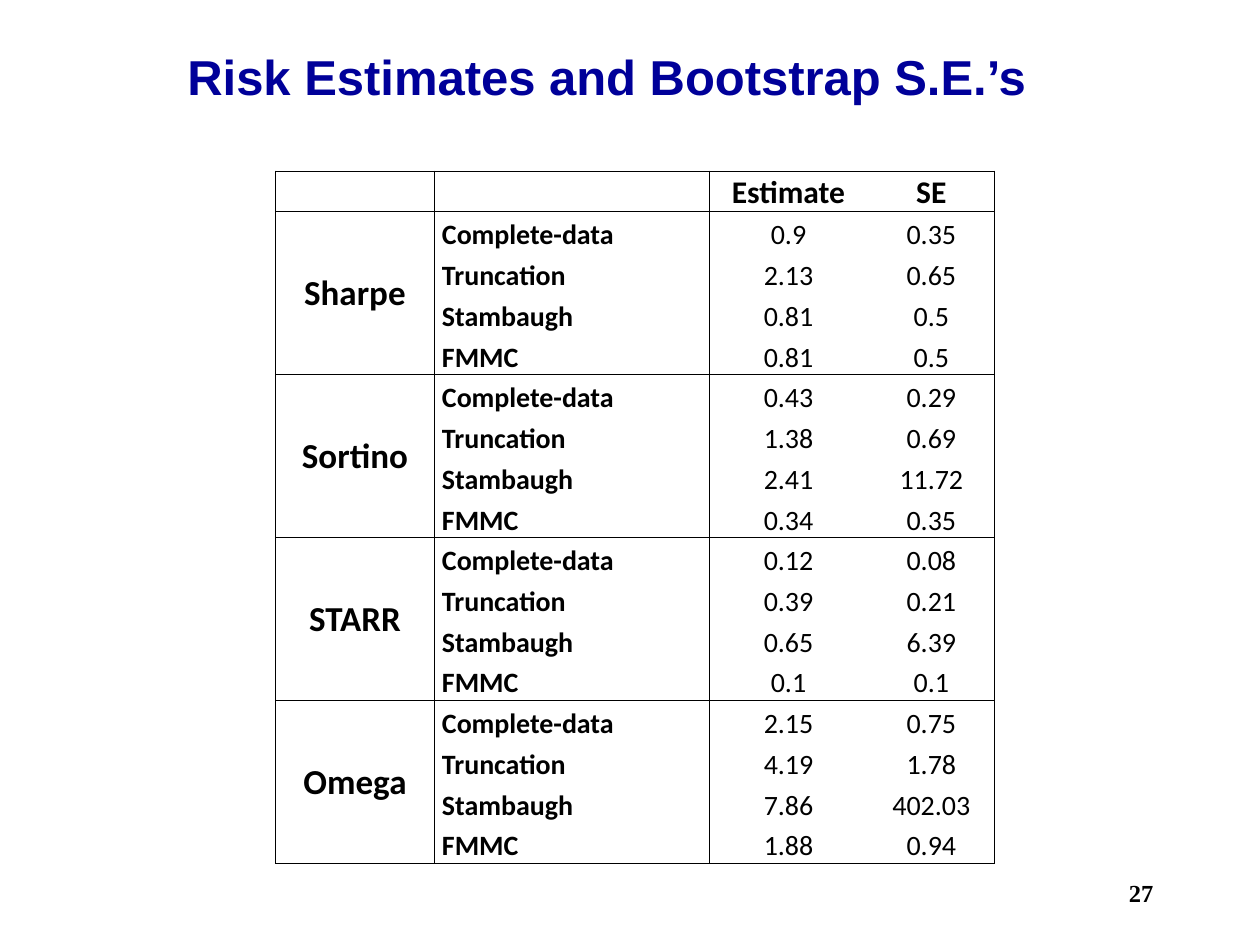
from lxml.etree import SubElement
from pptx import Presentation
from pptx.dml.color import RGBColor
from pptx.enum.text import MSO_ANCHOR, PP_ALIGN
from pptx.oxml.ns import qn
from pptx.util import Pt

COLORS = {"title": "000099", "text": "000000", "line": "000000"}
MEASURES = {
    "Sharpe": [("0.9", "0.35"), ("2.13", "0.65"), ("0.81", "0.5"), ("0.81", "0.5")],
    "Sortino": [("0.43", "0.29"), ("1.38", "0.69"), ("2.41", "11.72"), ("0.34", "0.35")],
    "STARR": [("0.12", "0.08"), ("0.39", "0.21"), ("0.65", "6.39"), ("0.1", "0.1")],
    "Omega": [("2.15", "0.75"), ("4.19", "1.78"), ("7.86", "402.03"), ("1.88", "0.94")],
}
METHODS = ["Complete-data", "Truncation", "Stambaugh", "FMMC"]
GROUP = len(METHODS)


def add_run(tf, text, size, font, color="text", bold=True, align=PP_ALIGN.CENTER):
    p = tf.paragraphs[0]
    p.alignment = align
    r = p.add_run()
    r.text = text
    r.font.size = Pt(size)
    r.font.name = font
    r.font.bold = bold
    r.font.color.rgb = RGBColor.from_string(COLORS[color])


def set_borders(cell, widths):
    """Draw the sides L, R, T, B at the given point widths; 0 means no line."""
    tcPr = cell._tc.get_or_add_tcPr()
    for side, width in zip("LRTB", widths):
        ln = SubElement(tcPr, qn(f"a:ln{side}"), w=str(Pt(width)))
        if width:
            fill = SubElement(ln, qn("a:solidFill"))
            SubElement(fill, qn("a:srgbClr"), val=COLORS["line"])
        else:
            SubElement(ln, qn("a:noFill"))


prs = Presentation()
prs.slide_width, prs.slide_height = Pt(720), Pt(540)
s = prs.slides.add_slide(prs.slide_layouts[6])

# Page number
sp = s.shapes.add_textbox(Pt(516.25), Pt(492), Pt(150), Pt(36))
tf = sp.text_frame
tf.word_wrap = False
tf.vertical_anchor = MSO_ANCHOR.MIDDLE
add_run(tf, "27", 14, "Times New Roman", align=PP_ALIGN.RIGHT)

# Table contents: a header, then one group of rows per measure
rows = [["", "", "Estimate", "SE"]]
for measure, values in MEASURES.items():
    for i, (method, pair) in enumerate(zip(METHODS, values)):
        rows.append([measure if i == 0 else "", f" {method}", *pair])

widths = [90.75, 157, 90.75, 72.5]
height = 396
table = s.shapes.add_table(len(rows), len(widths), Pt(157.5), Pt(97.75),
                           Pt(sum(widths)), Pt(height)).table
table.first_row = table.horz_banding = False
for column, width in zip(table.columns, widths):
    column.width = Pt(width)
for row in table.rows:
    row.height = Pt(height / len(rows))

omega_start = len(rows) - GROUP
for i, row in enumerate(rows):
    starts, ends = i == 0 or i % GROUP == 1, i % GROUP == 0
    for j, text in enumerate(row):
        cell = table.cell(i, j)
        cell.margin_left = cell.margin_right = cell.margin_top = Pt(0.75)
        cell.margin_bottom = Pt(0)
        cell.vertical_anchor = MSO_ANCHOR.MIDDLE if j == 0 else MSO_ANCHOR.BOTTOM
        top = 1 if j >= 2 and i == omega_start else 0.5
        bottom = 1 if j >= 2 and i == omega_start - 1 else 0.5
        set_borders(cell, [0.5 * (j < 3), 0.5 * (j != 2), top * starts,
                           bottom * (ends or j == 0)])
        cell.fill.background()
        if text:
            size = 18 if i == 0 else 20 if j == 0 else 16
            add_run(cell.text_frame, text, size, "Calibri", bold=i == 0 or j < 2,
                    align=PP_ALIGN.LEFT if j == 1 else PP_ALIGN.CENTER)
for i in range(1, len(rows), GROUP):
    table.cell(i, 0).merge(table.cell(i + GROUP - 1, 0))

# Title
sp = s.shapes.add_textbox(Pt(100), Pt(16), Pt(534), Pt(54.75))
tf = sp.text_frame
tf.word_wrap = True
tf.vertical_anchor = MSO_ANCHOR.MIDDLE
add_run(tf, "Risk Estimates and Bootstrap S.E.’s", 28, "Arial", "title",
        align=PP_ALIGN.LEFT)

prs.save("out.pptx")
